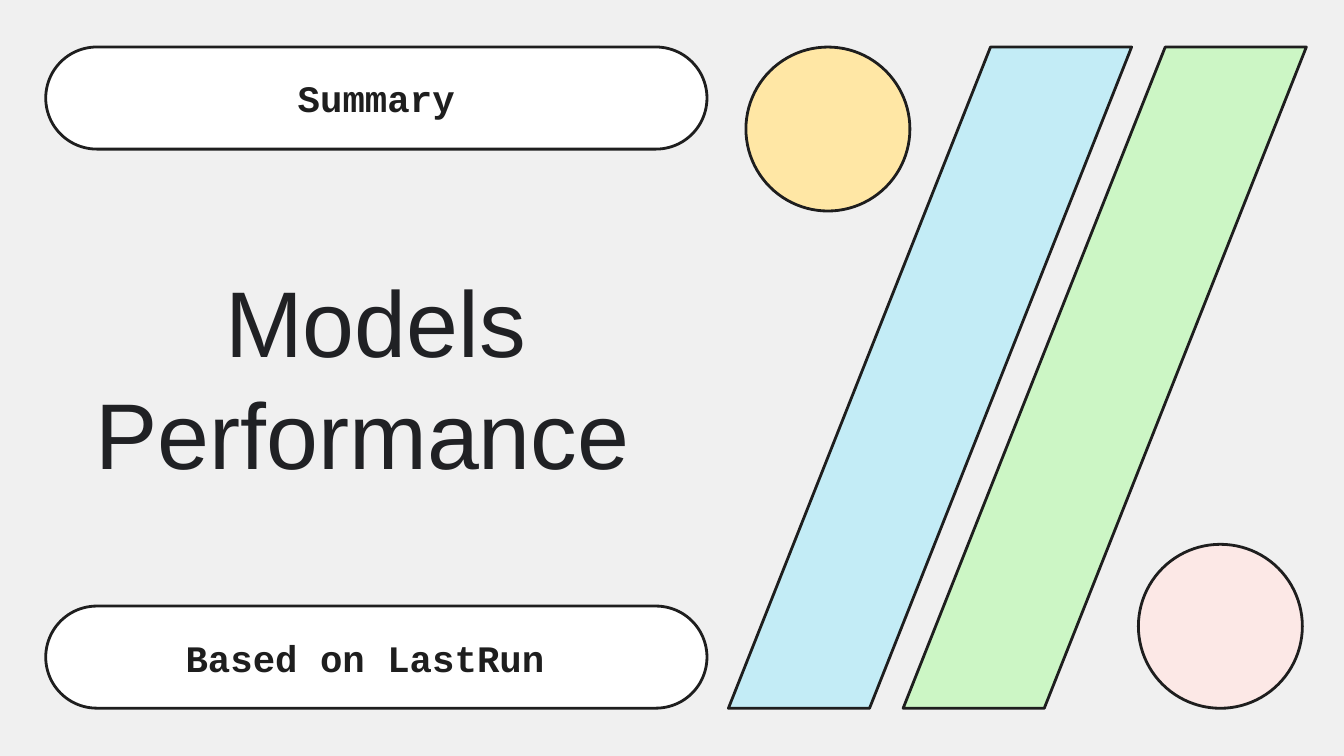
from dataclasses import dataclass
from pptx import Presentation, util as u
from pptx.dml.color import RGBColor
from pptx.enum import shapes, text

WIDE = u.Inches(10)
HIGH = WIDE * 9 // 16
COLS, ROWS = 100, 56.25  # grid of the slide
TOP, BASE = 3.5, 52.7  # rows that all the shapes align to
PILL, DISC = 7.6, 12.2  # heights in rows
KIND = shapes.MSO_SHAPE


@dataclass(frozen=True)
class Theme:
    back: str = "F0F0F0"
    ink: str = "1E1E1E"
    head: str = "202124"
    white: str = "FFFFFF"
    yellow: str = "FFE7A5"
    pink: str = "FCE8E6"
    blue: str = "C3ECF6"
    green: str = "CCF6C5"
    title_font: str = "Arial"
    label_font: str = "Courier New"
    title_size: float = 50
    label_size: float = 20
    line: float = 1.5


@dataclass(frozen=True)
class Form:
    kind: KIND
    col: float
    row: float
    cols: float
    rows: float
    fill: str
    bend: float | None = None
    label: str = ""


THEME = Theme()
FORMS = [
    *(Form(KIND.ROUNDED_RECTANGLE, 3.4, row, 49.2, PILL, THEME.white, 0.5, label)
      for row, label in ((TOP, "Summary"), (BASE - PILL, "Based on LastRun "))),
    *(Form(KIND.OVAL, col, row, DISC, DISC, fill)
      for col, row, fill in ((55.5, TOP, THEME.yellow),
                             (84.7, BASE - DISC, THEME.pink))),
    *(Form(KIND.PARALLELOGRAM, col, TOP, 30, BASE - TOP, fill, 0.65)
      for col, fill in ((54.2, THEME.blue), (67.2, THEME.green))),
]


def place(col: float, row: float, cols: float, rows: float) -> tuple[int, ...]:
    """Turn grid units into left, top, width and height."""
    return (round(WIDE * col / COLS), round(HIGH * row / ROWS),
            round(WIDE * cols / COLS), round(HIGH * rows / ROWS))


def write(shape, words: str, font: str, size: float, color: str,
          bold: bool = False) -> None:
    frame = shape.text_frame
    frame.text = words
    frame.word_wrap = True
    frame.auto_size = text.MSO_AUTO_SIZE.NONE
    frame.vertical_anchor = text.MSO_ANCHOR.MIDDLE
    frame.margin_left = frame.margin_right = u.Inches(0.1)
    frame.margin_top = frame.margin_bottom = u.Inches(0.1)
    para = frame.paragraphs[0]
    para.alignment = text.PP_ALIGN.CENTER
    para.font.name, para.font.size, para.font.bold = font, u.Pt(size), bold
    para.font.color.rgb = RGBColor.from_string(color)


def draw(slide, form: Form) -> None:
    shape = slide.shapes.add_shape(
        form.kind, *place(form.col, form.row, form.cols, form.rows))
    shape.shadow.inherit = False
    shape.fill.solid()
    shape.fill.fore_color.rgb = RGBColor.from_string(form.fill)
    shape.line.color.rgb = RGBColor.from_string(THEME.ink)
    shape.line.width = u.Pt(THEME.line)
    if form.bend is not None:
        shape.adjustments[0] = form.bend
    if form.label:
        write(shape, form.label, THEME.label_font, THEME.label_size,
              THEME.ink, bold=True)


def main() -> None:
    deck = Presentation()
    deck.slide_width, deck.slide_height = WIDE, HIGH
    slide = deck.slides.add_slide(deck.slide_layouts.get_by_name("Title Only"))
    slide.background.fill.solid()
    slide.background.fill.fore_color.rgb = RGBColor.from_string(THEME.back)

    title = slide.shapes.title
    title.left, title.top, title.width, title.height = place(3.6, 20, 48.7, 16)
    write(title, "Models Performance ", THEME.title_font, THEME.title_size,
          THEME.head)

    for form in FORMS:
        draw(slide, form)
    deck.save("out.pptx")


if __name__ == "__main__":
    main()
